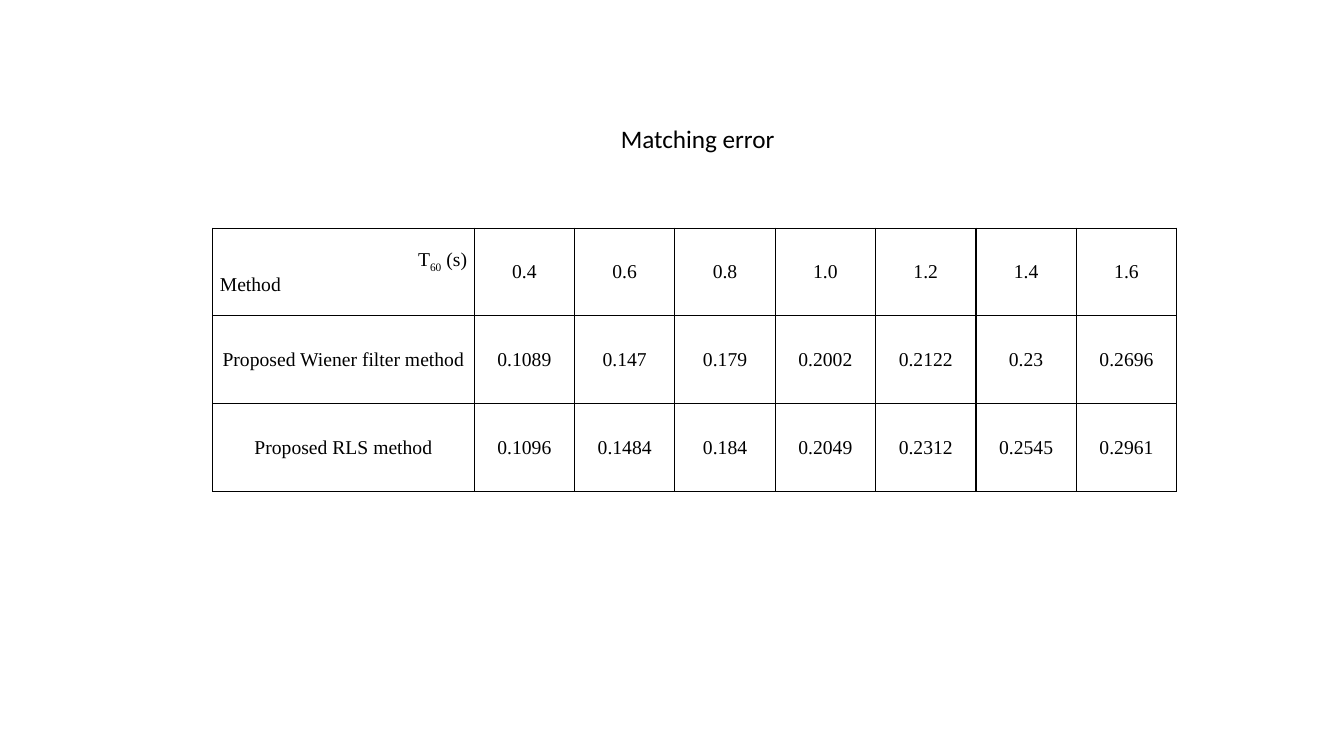
from lxml.etree import SubElement as Sub
from pptx import Presentation
from pptx.dml.color import RGBColor
from pptx.enum.text import MSO_ANCHOR as Anchor, MSO_AUTO_SIZE as Auto, PP_ALIGN as Align
from pptx.oxml.ns import qn
from pptx.util import Cm, Pt

BLACK = RGBColor(0, 0, 0)
HEAD = {"name": "Calibri", "size": Pt(18), "bold": False}
BODY = {"name": "Times New Roman", "size": Pt(14), "bold": False}
INSET = {"margin_left": Cm(0.18), "margin_right": Cm(0.18),
         "margin_top": Cm(0), "margin_bottom": Cm(0),
         "vertical_anchor": Anchor.MIDDLE}
ROWS = [
    ["", "0.4", "0.6", "0.8", "1.0", "1.2", "1.4", "1.6"],
    ["Proposed Wiener filter method", "0.1089", "0.147", "0.179",
     "0.2002", "0.2122", "0.23", "0.2696"],
    ["Proposed RLS method", "0.1096", "0.1484", "0.184",
     "0.2049", "0.2312", "0.2545", "0.2961"],
]


def write(para, text, style, align):
    para.alignment = align
    run = para.add_run()
    run.text = text
    for key, val in style.items():
        setattr(run.font, key, val)
    run.font.color.rgb = BLACK
    return run


def border(cell):
    props = cell._tc.get_or_add_tcPr()
    for side in ("lnL", "lnR", "lnT", "lnB"):
        line = Sub(props, qn(f"a:{side}"), w=str(Pt(1)))
        fill = Sub(line, qn("a:solidFill"))
        Sub(fill, qn("a:srgbClr"), val=str(BLACK))


deck = Presentation()
deck.slide_width, deck.slide_height = Cm(33.87), Cm(19.05)
slide = deck.slides.add_slide(deck.slide_layouts[5])

title = slide.shapes.title
place = {"left": Cm(15.39), "top": Cm(2.97), "width": Cm(4.42), "height": Cm(1.02)}
for key, val in place.items():
    setattr(title, key, val)
frame = title.text_frame
frame.word_wrap = False
frame.auto_size = Auto.NONE
write(frame.paragraphs[0], "Matching error", HEAD, Align.LEFT)

table = slide.shapes.add_table(
    len(ROWS), len(ROWS[0]), Cm(5.36), Cm(5.75), Cm(24.3), Cm(6.63)).table
table.first_row = table.horz_banding = False
for num, col in enumerate(table.columns):
    col.width = Cm(2.53) if num else Cm(6.59)
for row, texts in zip(table.rows, ROWS):
    row.height = Cm(2.21)
    for cell, text in zip(row.cells, texts):
        for key, val in INSET.items():
            setattr(cell, key, val)
        border(cell)
        cell.fill.background()
        if text:
            write(cell.text_frame.paragraphs[0], text, BODY, Align.CENTER)

corner = table.cell(0, 0).text_frame
top = corner.paragraphs[0]
write(top, "T", BODY, Align.RIGHT)
sub = write(top, "60", BODY, Align.RIGHT)
sub.font._element.set("baseline", "-25000")
write(top, " (s)", BODY, Align.RIGHT)
write(corner.add_paragraph(), "Method", BODY, Align.LEFT)

deck.save("out.pptx")
